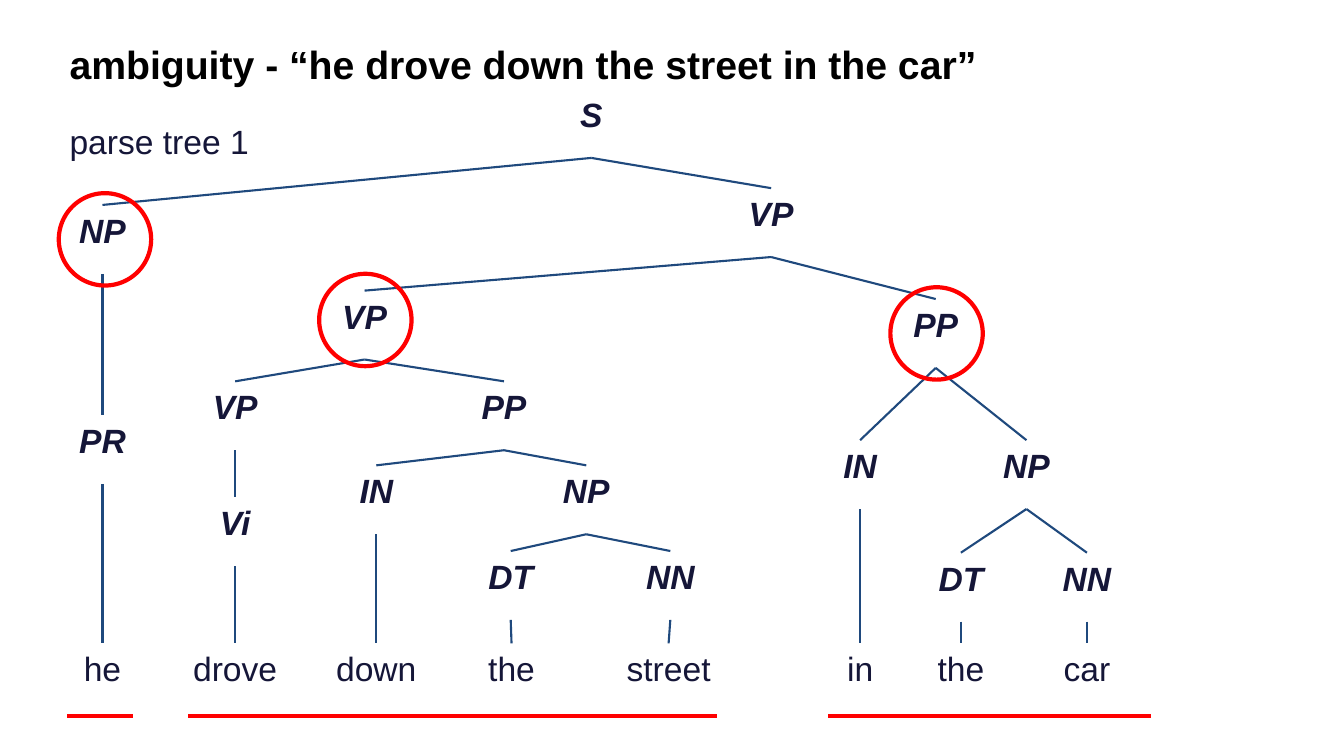
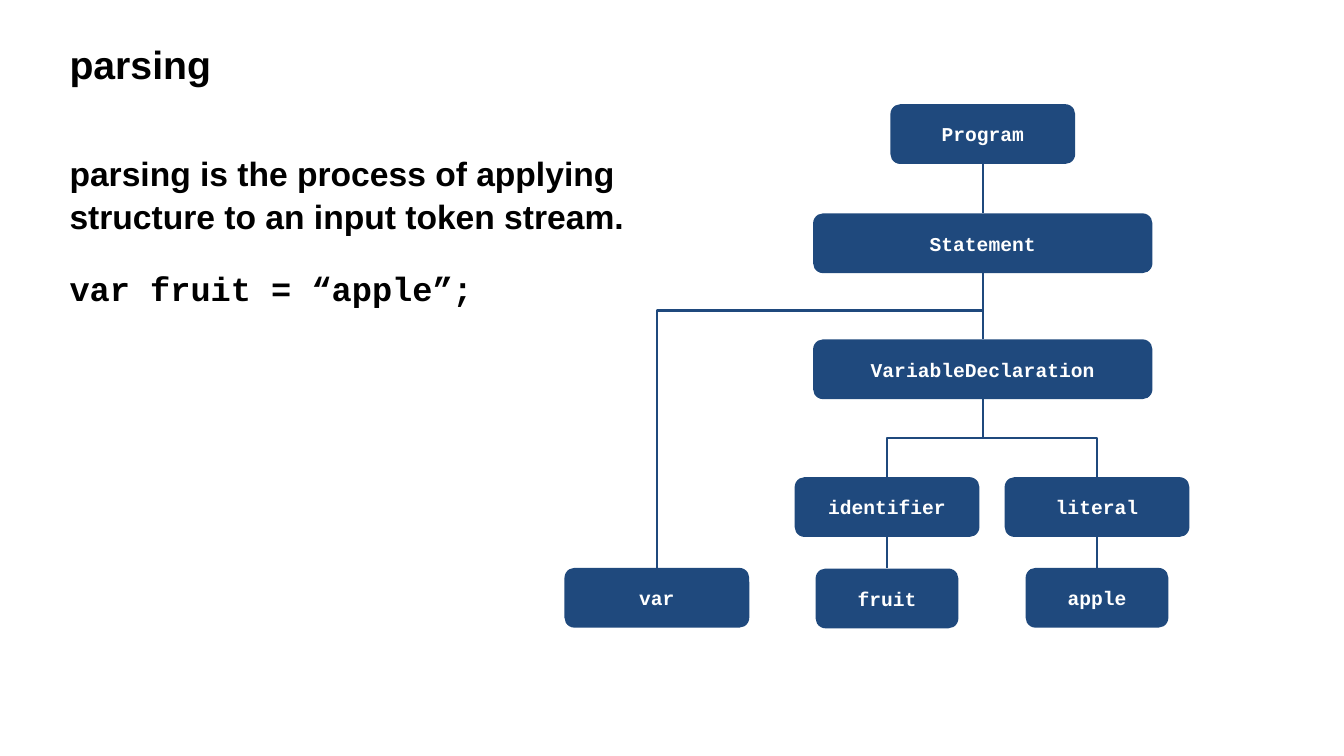
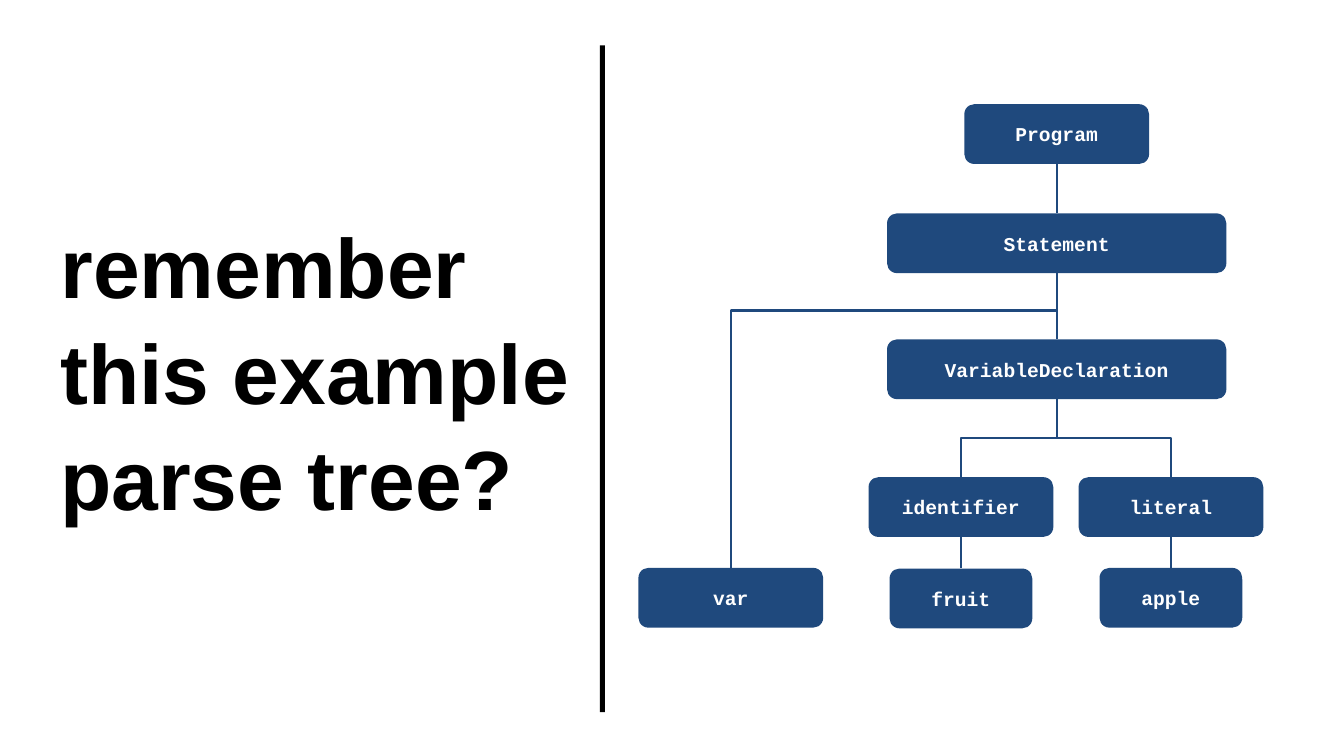
"""Three slides on parsing: an ambiguous sentence and a syntax tree."""
from lxml import etree
from pptx import Presentation
from pptx import util as u
from pptx.dml.color import RGBColor
from pptx.enum import shapes, text
from pptx.oxml.ns import qn

COLUMNS, ROWS = 80, 45
CELL = u.Inches(1) // 6

BLACK = RGBColor(0x00, 0x00, 0x00)
WHITE = RGBColor(0xFF, 0xFF, 0xFF)
INK = RGBColor(0x15, 0x16, 0x38)
NAVY = RGBColor(0x1F, 0x49, 0x7D)
RED = RGBColor(0xFF, 0x00, 0x00)

SANS, MONO = "Arial", "Courier New"
TOP, BOTTOM = 0, 2
TAG_WIDTH, WORD_WIDTH, LABEL_HEIGHT = 4.7, 6.6, 4.1
WORD_TOP = 38.3
NODE_HEIGHT = 3.56
CIRCLE_SIZE = 5.5

SENTENCE_TREE = (
    "S", 35.2, 5.3,
    ("NP", 6.1, 12.2, ("PR", 6.1, 24.7, ("he", 6.1, WORD_TOP))),
    ("VP", 45.9, 11.2,
     ("VP", 21.7, 17.3,
      ("VP", 14, 22.7, ("Vi", 14, 29.6, ("drove", 14, WORD_TOP))),
      ("PP", 30, 22.7,
       ("IN", 22.4, 27.7, ("down", 22.4, WORD_TOP)),
       ("NP", 34.9, 27.7,
        ("DT", 30.4, 32.8, ("the", 30.45, WORD_TOP)),
        ("NN", 39.9, 32.8, ("street", 39.8, WORD_TOP))))),
     ("PP", 55.7, 17.8,
      ("IN", 51.2, 26.2, ("in", 51.2, WORD_TOP)),
      ("NP", 61.1, 26.2,
       ("DT", 57.2, 32.9, ("the", 57.2, WORD_TOP)),
       ("NN", 64.7, 32.9, ("car", 64.7, WORD_TOP))))))

SYNTAX_NODES = {
    "Program": (0, 6.2, 11),
    "Statement": (0, 12.7, 20.2),
    "VariableDeclaration": (0, 20.2, 20.2),
    "identifier": (-5.7, 28.4, 11),
    "literal": (6.8, 28.4, 11),
    "fruit": (-5.7, 33.84, 8.5),
    "apple": (6.8, 33.8, 8.5),
    "var": (-19.4, 33.8, 11),
}
STRAIGHT_LINKS = [("Program", "Statement"), ("Statement", "VariableDeclaration"),
                  ("identifier", "fruit"), ("literal", "apple")]
BENT_LINKS = [("Statement", "var", 0.127), ("VariableDeclaration", "identifier", 0.5),
              ("VariableDeclaration", "literal", 0.5)]


def cells(*counts):
    return [u.Emu(round(count * CELL)) for count in counts]


class Deck:
    """Holds the shared style and the slide being built."""

    def __init__(self):
        self.deck = Presentation()
        self.deck.slide_width, self.deck.slide_height = cells(COLUMNS, ROWS)
        self.page = None

    def new_page(self):
        self.page = self.deck.slides.add_slide(self.deck.slide_layouts[6])

    def fill_text(self, box, words, size, color, font=SANS, bold=True, italic=False,
                  align=text.PP_ALIGN.LEFT, anchor=text.MSO_ANCHOR.TOP,
                  inset=0.05, before=0, spacing=1.0):
        frame = box.text_frame
        frame.word_wrap = True
        frame.vertical_anchor = anchor
        frame.margin_left = frame.margin_right = u.Inches(0.1)
        frame.margin_top = frame.margin_bottom = u.Inches(inset)
        para = frame.paragraphs[0]
        para.text = words
        para.alignment = align
        para.space_before = u.Pt(before)
        para.line_spacing = spacing
        para.font.name, para.font.size = font, u.Pt(size)
        para.font.bold, para.font.italic = bold, italic
        para.font.color.rgb = color

    def label(self, place, words, size=24, color=BLACK, **style):
        box = self.page.shapes.add_textbox(*cells(*place))
        self.fill_text(box, words, size, color, **style)
        return box

    def title(self, words):
        self.label((3.55, 2.4, 71, 4.5), words, size=28, spacing=0.9)

    def shape(self, kind, place, fill=None, line=None):
        shape = self.page.shapes.add_shape(kind, *cells(*place))
        shape.shadow.inherit = False
        if fill is None:
            shape.fill.background()
        else:
            shape.fill.solid()
            shape.fill.fore_color.rgb = fill
        if line is None:
            shape.line.fill.background()
        else:
            shape.line.color.rgb, shape.line.width = line, u.Pt(3)
        return shape

    def connector(self, kind, ends, color=NAVY, width=1.5):
        connector = self.page.shapes.add_connector(kind, *ends)
        connector.line.color.rgb, connector.line.width = color, u.Pt(width)
        etree.SubElement(connector._element.spPr, qn("a:effectLst"))
        return connector

    def join(self, parent, child):
        line = self.connector(shapes.MSO_CONNECTOR.STRAIGHT, (0, 0, 0, 0))
        line.begin_connect(parent, BOTTOM)
        line.end_connect(child, TOP)

    def bend(self, parent, child, turn):
        """Draws an elbow that leaves downwards and turns at a share of the drop."""
        start = parent.left + parent.width // 2
        end = child.left + child.width // 2
        high, low = parent.top + parent.height, child.top
        drop, reach = low - high, abs(end - start)
        left = (start + end - drop) // 2
        top = (high + low - reach) // 2
        elbow = self.connector(shapes.MSO_CONNECTOR.ELBOW,
                               (left, top, left + drop, top + reach))
        rightward = end > start
        frame = elbow._element.spPr.find(qn("a:xfrm"))
        frame.set("rot", str((270 if rightward else 90) * 60000))
        if rightward:
            frame.set("flipH", "1")
        geometry = elbow._element.spPr.find(qn("a:prstGeom"))
        guides = geometry.find(qn("a:avLst"))
        if guides is None:
            guides = etree.SubElement(geometry, qn("a:avLst"))
        etree.SubElement(guides, qn("a:gd"), name="adj1",
                         fmla=f"val {round(turn * 100000)}")

    def underline(self, start, end, row):
        self.connector(shapes.MSO_CONNECTOR.STRAIGHT,
                       cells(start, row, end, row), RED, 3)

    def circle(self, left, top):
        self.shape(shapes.MSO_SHAPE.OVAL, (left, top, CIRCLE_SIZE, CIRCLE_SIZE), line=RED)

    def sentence_tree(self, node):
        words, center, top, *children = node
        width = WORD_WIDTH if len(words) > 3 else TAG_WIDTH
        is_tag = bool(children)
        box = self.label((center - width / 2, top, width, LABEL_HEIGHT), words,
                         color=INK, bold=is_tag, italic=is_tag, before=6,
                         align=text.PP_ALIGN.CENTER)
        for child in children:
            self.join(box, self.sentence_tree(child))
        return box

    def syntax_tree(self, axis):
        nodes = {}
        for name, (offset, top, width) in SYNTAX_NODES.items():
            place = (axis + offset - width / 2, top, width, NODE_HEIGHT)
            node = self.shape(shapes.MSO_SHAPE.ROUNDED_RECTANGLE, place, fill=NAVY)
            self.fill_text(node, name, 14, WHITE, font=MONO, inset=0.1,
                           align=text.PP_ALIGN.CENTER, anchor=text.MSO_ANCHOR.MIDDLE)
            nodes[name] = node
        for parent, child in STRAIGHT_LINKS:
            self.join(nodes[parent], nodes[child])
        for parent, child, turn in BENT_LINKS:
            self.bend(nodes[parent], nodes[child], turn)


def main():
    show = Deck()

    show.new_page()
    show.title("ambiguity - “he drove down the street in the car”")
    show.label((3.55, 6.9, 13.7, LABEL_HEIGHT), "parse tree 1",
               color=INK, bold=False, before=6)
    show.sentence_tree(SENTENCE_TREE)
    for left, top in [(3.5, 11.5), (19, 16.3), (53, 17.1)]:
        show.circle(left, top)
    for start, end in [(4, 7.9), (11.2, 42.7), (49.3, 68.5)]:
        show.underline(start, end, 42.6)

    show.new_page()
    show.title("parsing")
    show.label((3.55, 8.4, 35.4, 6.2),
               "parsing is the process of applying structure to an input token stream.",
               inset=0.1, spacing=1.05)
    show.label((3.55, 15.4, 28, 3.5), "var fruit = “apple”;", font=MONO,
               inset=0.1, anchor=text.MSO_ANCHOR.MIDDLE)
    show.syntax_tree(58.5)

    show.new_page()
    show.label((3, 12.2, 32, 18.8), "remember this example parse tree?",
               size=60, spacing=1.05)
    show.shape(shapes.MSO_SHAPE.RECTANGLE, (35.7, 2.7, 0.3, 39.7), fill=BLACK)
    show.syntax_tree(62.9)

    show.deck.save("out.pptx")


if __name__ == "__main__":
    main()
